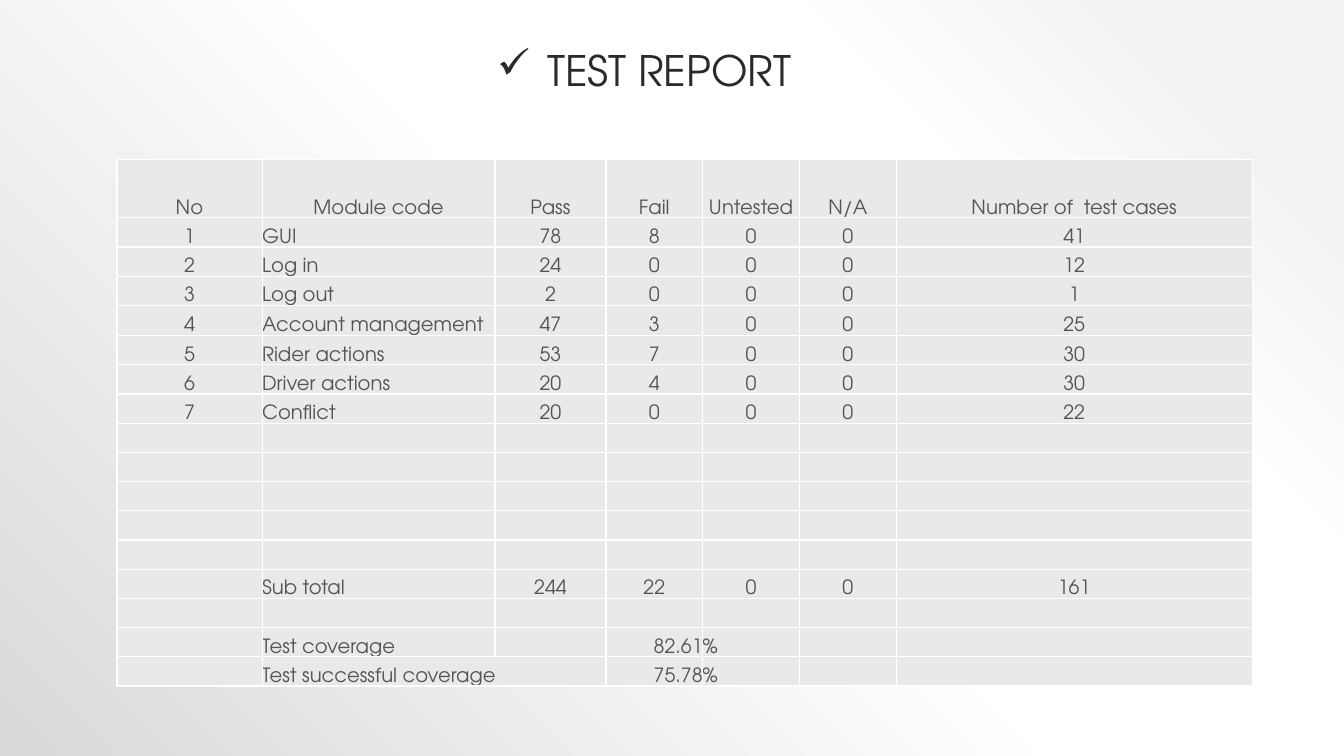
from dataclasses import dataclass

from lxml.etree import SubElement
from pptx import Presentation
from pptx.dml.color import RGBColor
from pptx.enum.text import MSO_ANCHOR, PP_ALIGN
from pptx.oxml import parse_xml
from pptx.oxml.ns import nsdecls, qn
from pptx.slide import Slide
from pptx.table import Table, _Cell
from pptx.text.text import _Paragraph
from pptx.util import Emu, Pt

SCALE = 9144
FONT = "TeX Gyre Adventor"
HEX = {
    "title": "2A2A2A",
    "text": "545454",
    "cell": "E9E9E9",
    "line": "FFFFFF",
    "pale": "F2F2F2",
    "white": "FFFFFF",
    "grey": "D9D9D9",
}
STOPS = [(10, "pale"), (28, "white"), (48, "white"), (100, "grey")]
WIDTHS = [144, 231, 110, 96, 96, 96, 353]


@dataclass(frozen=True)
class Row:
    texts: tuple[str, ...] = ("",) * len(WIDTHS)
    height: int = 29


ROWS = [
    Row(("No", "Module code", "Pass", "Fail", "Untested", "N/A", "Number of  test cases"), 58),
    Row(("1", "GUI", "78", "8", "0", "0", "41")),
    Row(("2", "Log in", "24", "0", "0", "0", "12")),
    Row(("3", "Log out", "2", "0", "0", "0", "1")),
    Row(("4", "Account management", "47", "3", "0", "0", "25"), 30),
    Row(("5", "Rider actions", "53", "7", "0", "0", "30")),
    Row(("6", "Driver actions", "20", "4", "0", "0", "30")),
    Row(("7", "Conflict", "20", "0", "0", "0", "22")),
    *[Row()] * 5,
    Row(("", "Sub total", "244", "22", "0", "0", "161")),
    Row(),
    Row(("", "Test coverage", "", "82.61", "%", "", "")),
    Row(("", "Test successful coverage", "", "75.78", "%", "", "")),
]


def px(count: int) -> Emu:
    return Emu(count * SCALE)


def add_run(para: _Paragraph, text: str, size: int, color: str) -> None:
    run = para.add_run()
    run.text = text
    run.font.name = FONT
    run.font.size = Pt(size)
    run.font.color.rgb = RGBColor.from_string(HEX[color])


def paint_back(slide: Slide) -> None:
    slide.background.fill.solid()
    back = slide.element.xpath(".//p:bgPr")[0]
    stops = "".join(
        f'<a:gs pos="{pos * 1000}"><a:srgbClr val="{HEX[name]}"/></a:gs>'
        for pos, name in STOPS
    )
    back[0] = parse_xml(
        f'<a:gradFill {nsdecls("a")} rotWithShape="1"><a:gsLst>{stops}</a:gsLst>'
        '<a:path path="circle"><a:fillToRect l="100000" b="100000"/></a:path>'
        "</a:gradFill>"
    )


def add_title(slide: Slide) -> None:
    title = slide.shapes.title
    title.left, title.top, title.width, title.height = map(px, (483, 33, 500, 67))
    frame = title.text_frame
    frame.word_wrap = True
    frame.vertical_anchor = MSO_ANCHOR.BOTTOM
    para = frame.paragraphs[0]
    para.alignment = PP_ALIGN.LEFT
    para.line_spacing = 0.9
    add_run(para, "TEST REPORT", 30, "title")
    props = para._p.get_or_add_pPr()
    props.set("marL", str(px(50)))
    props.set("indent", str(px(-50)))
    SubElement(props, qn("a:buChar"), char="✓")


def draw_edge(cell: _Cell) -> None:
    props = cell._tc.get_or_add_tcPr()
    for side in "LRTB":
        line = SubElement(props, qn(f"a:ln{side}"), w=str(Pt(1)))
        fill = SubElement(line, qn("a:solidFill"))
        SubElement(fill, qn("a:srgbClr"), val=HEX["line"])


def pick_align(row: int, col: int, text: str) -> PP_ALIGN:
    if text == "%" or (col == 1 and row > 0):
        return PP_ALIGN.LEFT
    return PP_ALIGN.RIGHT if "." in text else PP_ALIGN.CENTER


def fill_cell(cell: _Cell, text: str, align: PP_ALIGN) -> None:
    draw_edge(cell)
    cell.fill.solid()
    cell.fill.fore_color.rgb = RGBColor.from_string(HEX["cell"])
    cell.margin_left = cell.margin_right = cell.margin_top = cell.margin_bottom = 0
    cell.vertical_anchor = MSO_ANCHOR.BOTTOM
    para = cell.text_frame.paragraphs[0]
    para.alignment = align
    if text:
        add_run(para, text, 14, "text")
    else:
        SubElement(para._p, qn("a:endParaRPr"), sz="1400")


def add_report(slide: Slide) -> Table:
    high = sum(row.height for row in ROWS)
    frame = slide.shapes.add_table(
        len(ROWS), len(WIDTHS), px(116), px(158), px(sum(WIDTHS)), px(high)
    )
    table = frame.table
    table.first_row = table.horz_banding = False
    for col, width in enumerate(WIDTHS):
        table.columns[col].width = px(width)
    for num, row in enumerate(ROWS):
        table.rows[num].height = px(row.height)
        for col, text in enumerate(row.texts):
            fill_cell(table.cell(num, col), text, pick_align(num, col, text))
    last = len(ROWS) - 1
    table.cell(last, 1).merge(table.cell(last, 2))
    return table


def main() -> None:
    deck = Presentation()
    deck.slide_width, deck.slide_height = px(1333), px(750)
    slide = deck.slides.add_slide(deck.slide_layouts[5])
    paint_back(slide)
    add_title(slide)
    add_report(slide)
    deck.save("out.pptx")


if __name__ == "__main__":
    main()
